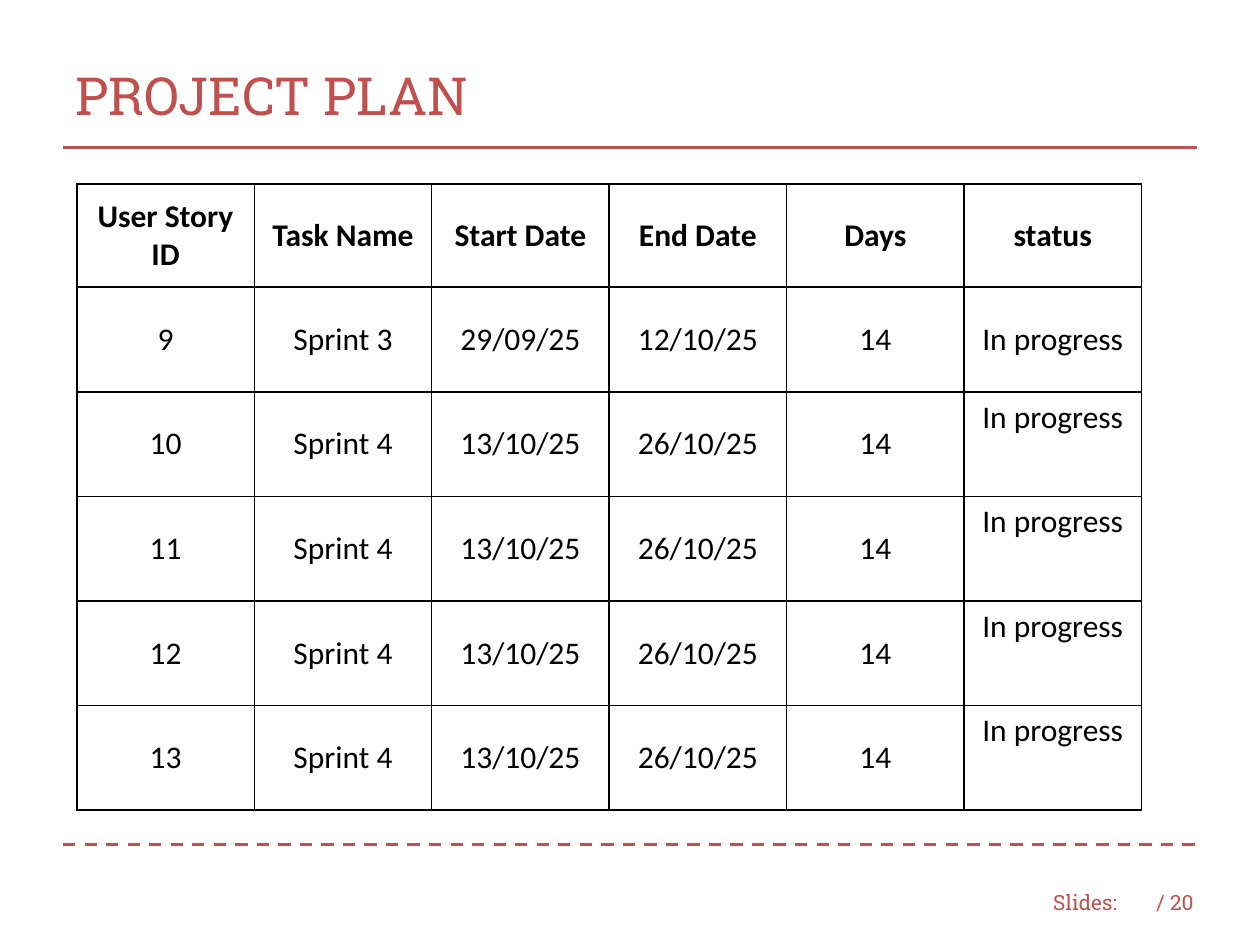
from dataclasses import dataclass

from lxml import etree
from pptx import Presentation
from pptx.dml.color import RGBColor
from pptx.enum.dml import MSO_LINE
from pptx.enum.shapes import MSO_CONNECTOR
from pptx.enum.text import MSO_ANCHOR, PP_ALIGN
from pptx.oxml import parse_xml
from pptx.oxml.ns import nsdecls, qn
from pptx.util import Inches, Pt

STRAIGHT = MSO_CONNECTOR.STRAIGHT
DASH = MSO_LINE.DASH
TOP, MIDDLE = MSO_ANCHOR.TOP, MSO_ANCHOR.MIDDLE
LEFT, CENTER = PP_ALIGN.LEFT, PP_ALIGN.CENTER


@dataclass(frozen=True)
class Theme:
    accent: str = "C0504D"
    ink: str = "000000"
    head: str = "Roboto Slab"
    body: str = "Calibri"
    title: float = 30
    cell: float = 18
    foot: float = 12
    rule: float = 1.75
    grid: float = 1


def write(frame, text, *, font, size, color, bold=False, align=LEFT,
          anchor=MIDDLE, spacing=None):
    """Put one formatted paragraph into a text frame or a cell's frame."""
    frame.word_wrap = True
    frame.vertical_anchor = anchor
    para = frame.paragraphs[0]
    para.alignment = align
    if spacing:
        para.line_spacing = spacing
    run = para.add_run()
    run.text = text
    run.font.name = font
    run.font.size = Pt(size)
    run.font.bold = bold
    run.font.color.rgb = RGBColor.from_string(color)


class Deck:
    def __init__(self, slide, theme):
        self.slide = slide
        self.theme = theme

    def label(self, text, left, top, width, height, size, spacing=None):
        box = self.slide.shapes.add_textbox(
            Inches(left), Inches(top), Inches(width), Inches(height))
        write(box.text_frame, text, font=self.theme.head, size=size,
              color=self.theme.accent, spacing=spacing)

    def rule(self, left, right, y, dash=None):
        line = self.slide.shapes.add_connector(
            STRAIGHT, Inches(left), Inches(y), Inches(right), Inches(y))
        line.line.color.rgb = RGBColor.from_string(self.theme.accent)
        line.line.width = Pt(self.theme.rule)
        line.line.dash_style = dash
        etree.SubElement(line._element.spPr, qn("a:effectLst"))

    def border(self, cell):
        props = cell._tc.get_or_add_tcPr()
        for i, side in enumerate("LRTB"):
            props.insert(i, parse_xml(
                f'<a:ln{side} {nsdecls("a")} w="{Pt(self.theme.grid)}">'
                f'<a:solidFill><a:srgbClr val="{self.theme.ink}"/></a:solidFill>'
                f'</a:ln{side}>'))

    def table(self, rows, left, top, width, heights):
        count = len(rows[0])
        grid = self.slide.shapes.add_table(
            len(rows), count, Inches(left), Inches(top),
            Inches(width), Inches(sum(heights))).table
        for col in grid.columns:
            col.width = Inches(width / count)
        for r, (row, height) in enumerate(zip(rows, heights)):
            grid.rows[r].height = Inches(height)
            for c, text in enumerate(row):
                cell = grid.cell(r, c)
                cell.fill.background()
                self.border(cell)
                write(cell.text_frame, text, font=self.theme.body,
                      size=self.theme.cell, color=self.theme.ink,
                      bold=r == 0, align=CENTER)
                # Status sits at the top from the second task on
                high = r > 1 and c == count - 1
                cell.vertical_anchor = TOP if high else MIDDLE


def main():
    show = Presentation()
    show.slide_width, show.slide_height = Inches(10), Inches(7.5)
    theme = Theme()
    deck = Deck(show.slides.add_slide(show.slide_layouts[6]), theme)

    # Footer
    deck.label("Slides:", 8.26, 6.96, 0.75, 0.4, theme.foot)
    deck.label("/ 20", 9.08, 6.96, 0.58, 0.4, theme.foot)
    deck.rule(0.5, 9.5, 6.7, DASH)

    # Title
    deck.rule(0.5, 9.5, 1.17)
    deck.label("PROJECT PLAN", 0.5, 0.33, 9, 0.91, theme.title, spacing=0.9)

    # Plan table
    names = ["User Story ID", "Task Name", "Start Date", "End Date",
             "Days", "status"]
    first = ["9", "Sprint 3", "29/09/25", "12/10/25", "14", "In progress"]
    later = [[str(story), "Sprint 4", "13/10/25", "26/10/25", "14",
              "In progress"] for story in range(10, 14)]
    deck.table([names, first, *later], 0.61, 1.46, 8.45, [0.82] + [0.83] * 5)

    show.save("out.pptx")


if __name__ == "__main__":
    main()
